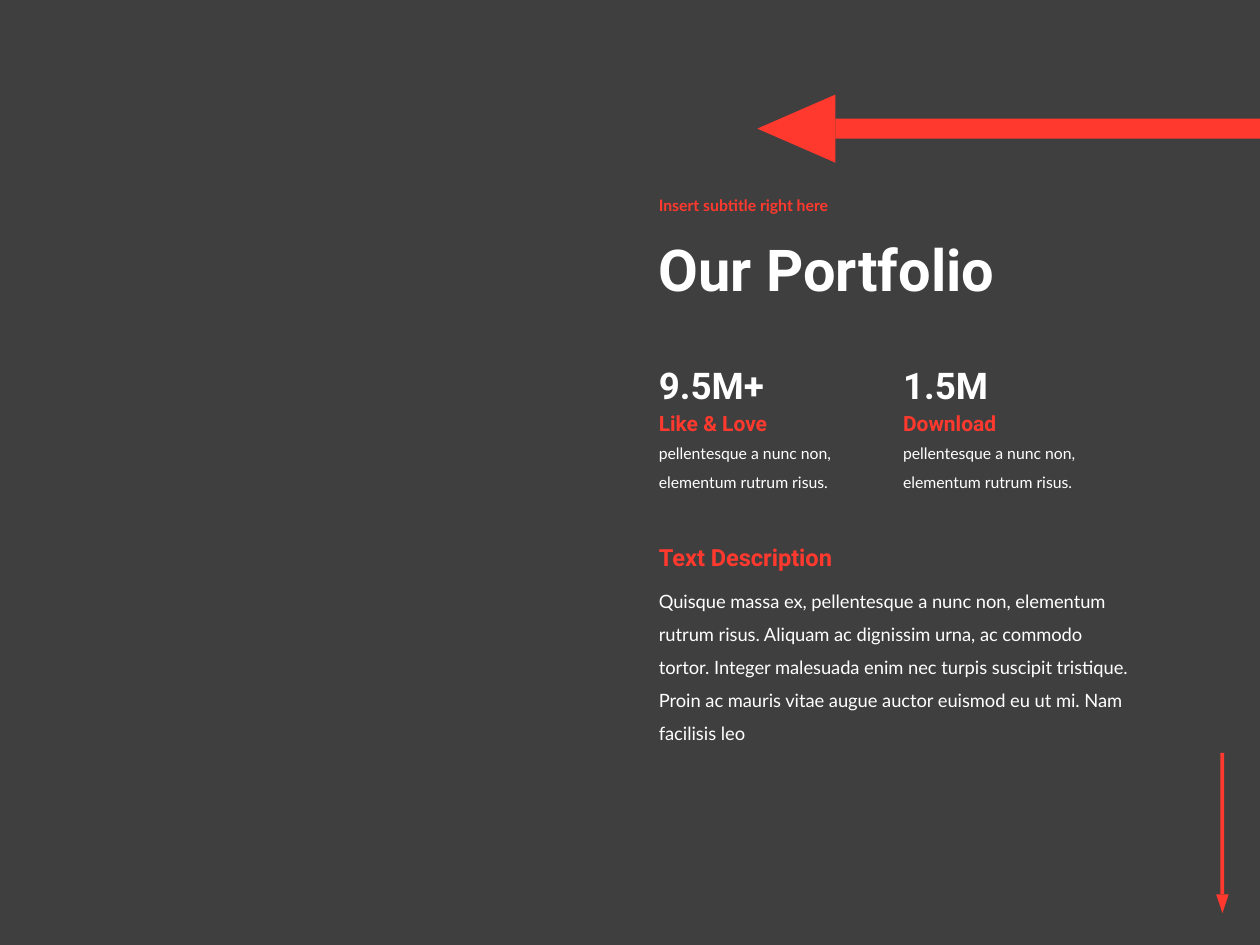
from pptx import Presentation
from pptx.dml.color import RGBColor
from pptx.enum import shapes, text
from pptx.util import Pt

RED, WHITE, DARK = "FF392E", "FFFFFF", "3F3F3F"
HEAD, BODY = "Roboto", "Lato"
KIND = shapes.MSO_SHAPE


def color(code):
    return RGBColor.from_string(code)


def label(slide, box, words, size, font, code, bold=True, space=1.0, mid=False):
    frame = slide.shapes.add_textbox(*map(Pt, box)).text_frame
    frame.word_wrap = True
    if mid:
        frame.vertical_anchor = text.MSO_ANCHOR.MIDDLE
    para = frame.paragraphs[0]
    para.line_spacing = space
    run = para.add_run()
    run.text = words
    run.font.name, run.font.size, run.font.bold = font, Pt(size), bold
    run.font.color.rgb = color(code)


def arrow(slide, shaft, tip, turn):
    """Shaft and triangle tip, grouped; turn points the tip."""
    group = slide.shapes.add_group_shape()
    for kind, box, angle in ((KIND.RECTANGLE, shaft, 0),
                             (KIND.ISOSCELES_TRIANGLE, tip, turn)):
        part = group.shapes.add_shape(kind, *map(Pt, box))
        part.rotation = angle
        part.shadow.inherit = False
        part.fill.solid()
        part.fill.fore_color.rgb = color(RED)
        part.line.fill.background()


def header(slide, left, top):
    label(slide, (left, top + 14.4, 405.4, 74.2), "Our Portfolio",
          33, HEAD, WHITE, space=0.9, mid=True)
    label(slide, (left, top, 405.4, 27.4), "Insert subtitle right here",
          9, BODY, RED, space=0.9, mid=True)


def stat(slide, left, top, value, name):
    label(slide, (left, top, 108, 32.4), value, 21, HEAD, WHITE)
    label(slide, (left, top + 27.4, 108, 21.6), name, 12, HEAD, RED)
    label(slide, (left, top + 41, 136, 38.2),
          "pellentesque a nunc non, elementum rutrum risus.",
          9, BODY, WHITE, bold=False, space=1.5)


def about(slide, left, top):
    label(slide, (left, top, 157.7, 23.8), "Text Description", 13.5, HEAD, RED)
    label(slide, (left, top + 20.9, 288, 81.4),
          "Quisque massa ex, pellentesque a nunc non, elementum rutrum risus. "
          "Aliquam ac dignissim urna, ac commodo tortor. Integer malesuada enim "
          "nec turpis suscipit tristique. Proin ac mauris vitae augue auctor "
          "euismod eu ut mi. Nam facilisis leo",
          10.5, BODY, WHITE, bold=False, space=1.5)


def main():
    deck = Presentation()
    deck.slide_width, deck.slide_height = Pt(720), Pt(540)
    slide = deck.slides.add_slide(deck.slide_layouts[6])
    slide.background.fill.solid()
    slide.background.fill.fore_color.rgb = color(DARK)

    # Small arrow pointing down
    arrow(slide, (697.4, 430.2, 2.2, 80.8), (694.9, 511, 7.2, 10.8), 180)

    # Text column
    left, step = 369.4, 139.6
    header(slide, left, 104.4)
    about(slide, left, 306.7)
    stats = (("9.5M+", "Like & Love"), ("1.5M", "Download"))
    for i, (value, name) in enumerate(stats):
        stat(slide, left + i * step, 203.8, value, name)

    # Large arrow pointing left, running off the edge
    arrow(slide, (477.4, 67.8, 281.5, 11.5), (435.6, 51.2, 38.9, 44.6), 270)

    deck.save("out.pptx")


if __name__ == "__main__":
    main()
